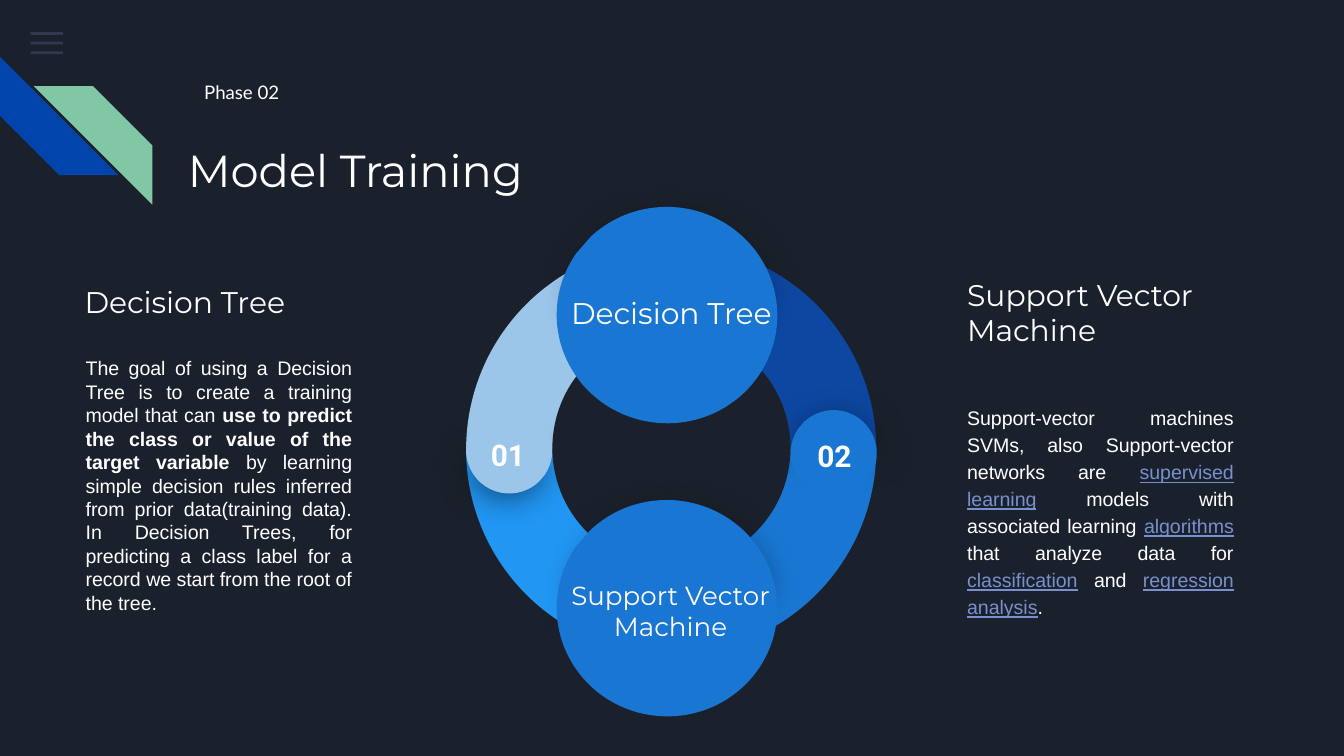
from lxml import etree
from pptx import Presentation
from pptx.dml.color import RGBColor
from pptx.enum.shapes import MSO_SHAPE
from pptx.enum.text import MSO_ANCHOR, PP_ALIGN
from pptx.oxml.ns import qn
from pptx.util import Cm, Pt

RECT, STRIPE, OVAL = MSO_SHAPE.RECTANGLE, MSO_SHAPE.DIAGONAL_STRIPE, MSO_SHAPE.OVAL
PIE, CHORD = MSO_SHAPE.PIE, MSO_SHAPE.CHORD
TOP, MIDDLE = MSO_ANCHOR.TOP, MSO_ANCHOR.MIDDLE
LEFT, CENTER, JUSTIFY = PP_ALIGN.LEFT, PP_ALIGN.CENTER, PP_ALIGN.JUSTIFY

NIGHT = RGBColor(0x1B, 0x21, 0x2C)
WHITE = RGBColor(0xFF, 0xFF, 0xFF)
SLATE = RGBColor(0x55, 0x68, 0x8B)
ROYAL = RGBColor(0x01, 0x45, 0xAC)
GREEN = RGBColor(0x82, 0xC7, 0xA5)
PALE_BLUE = RGBColor(0x9B, 0xC5, 0xE9)
NAVY = RGBColor(0x0D, 0x47, 0xA1)
BLUE = RGBColor(0x19, 0x76, 0xD2)
BRIGHT_BLUE = RGBColor(0x21, 0x96, 0xF3)
LINK = RGBColor(0x78, 0x90, 0xCD)

QUARTER = (107.96, 162.01)
NEAR_FULL = (25.01, 18.12)
LEFT_CAP = (189.54, 83.81)
RIGHT_CAP = (196.87, 77.71)


def add_run(p, text, font="Arial", size=10.5, color=WHITE, bold=False, underline=False):
    r = p.add_run()
    r.text = text
    r.font.name = font
    r.font.size = Pt(size)
    r.font.color.rgb = color
    r.font.bold = bold
    r.font.underline = underline


class Deck:
    """Holds the style and the current slide."""

    heading_font = "Montserrat"

    def __init__(self):
        self.prs = Presentation()
        self.prs.slide_width, self.prs.slide_height = Cm(25.4), Cm(14.29)
        self.s = self.prs.slides.add_slide(self.prs.slide_layouts[6])
        fill = self.s.background.fill
        fill.solid()
        fill.fore_color.rgb = NIGHT

    def shape(self, kind, box, color, rotation=0, adj=(), flip=False, alpha=None):
        sp = self.s.shapes.add_shape(kind, *[Cm(v) for v in box])
        sp.shadow.inherit = False
        sp.fill.solid()
        sp.fill.fore_color.rgb = color
        sp.line.fill.background()
        sp.rotation = rotation
        for i, value in enumerate(adj):
            sp.adjustments[i] = value
        if flip:
            sp.element.spPr.find(qn("a:xfrm")).set("flipH", "1")
        if alpha is not None:
            clr = sp.element.spPr.find(qn("a:solidFill"))[0]
            etree.SubElement(clr, qn("a:alpha")).set("val", str(alpha * 1000))
        return sp

    def cast_shadow(self, sp):
        effects = sp.element.spPr.find(qn("a:effectLst"))
        shadow = etree.SubElement(effects, qn("a:outerShdw"), blurRad=str(Pt(18)),
                                  dist=str(Pt(4)), dir="5400000", rotWithShape="0")
        clr = etree.SubElement(shadow, qn("a:srgbClr"), val="000000")
        etree.SubElement(clr, qn("a:alpha"), val="55000")

    def disc(self, cap_box, disc_box, color, cap=RIGHT_CAP, turn=180):
        """A round plate over a pie that casts its shadow."""
        self.cast_shadow(self.shape(PIE, cap_box, color, turn + 39.5, cap))
        self.shape(CHORD, disc_box, color, turn + 4.1, NEAR_FULL)

    def text(self, box, runs, align=LEFT, anchor=TOP, spacing=None, after=None, **fmt):
        """runs is a list of (text, extra format) pairs."""
        tf = self.s.shapes.add_textbox(*[Cm(v) for v in box]).text_frame
        tf.word_wrap = True
        tf.vertical_anchor = anchor
        tf.margin_left = tf.margin_right = tf.margin_top = tf.margin_bottom = Cm(0.25)
        p = tf.paragraphs[0]
        p.alignment = align
        if spacing:
            p.line_spacing = spacing
        if after:
            p.space_after = Pt(after)
        for text, extra in runs:
            add_run(p, text, **{**fmt, **extra})

    def heading(self, box, text, size=16, align=LEFT, anchor=MIDDLE):
        self.text(box, [(text, {})], align, anchor, font=self.heading_font, size=size)

    def number(self, box, text):
        self.text(box, [(text, {})], CENTER, font="Roboto", size=16, bold=True)


def main():
    deck = Deck()

    # Menu icon and corner stripes
    for i in range(3):
        deck.shape(RECT, (0.58, 0.61 + 0.18 * i, 0.61, 0.05), SLATE, alpha=36)
    deck.shape(STRIPE, (0, 1.07, 2.24, 2.24), ROYAL, 270, [0.5])
    deck.shape(STRIPE, (0.64, 1.63, 2.24, 2.24), GREEN, adj=[0.5], flip=True)

    # Side headings and the right description
    deck.heading((1.35, 5.08, 5.16, 1.24), "Decision Tree")
    deck.heading((18.03, 5.28, 6.35, 1.24), "Support Vector Machine")
    link = {"color": LINK, "underline": True}
    deck.text((18.03, 8.69, 5.54, 1.93), [
        ("Support-vector machines SVMs, also Support-vector networks are ", {}),
        ("supervised learning", link),
        (" models with associated learning ", {}),
        ("algorithms", link),
        (" that analyze data for ", {}),
        ("classification", link),
        (" and ", {}),
        ("regression analysis", link),
        (".", {}),
    ], JUSTIFY, MIDDLE, spacing=1.15, after=16)

    # Ring of four quarters with numbered ends
    for i, color in enumerate((PALE_BLUE, NAVY, BLUE, BRIGHT_BLUE)):
        deck.shape(PIE, (8.81, 4.62, 7.75, 7.75), color, 90 * i, QUARTER)
    deck.disc((8.84, 7.8, 1.45, 1.45), (8.81, 7.7, 1.63, 1.63), PALE_BLUE, LEFT_CAP, 0)
    deck.number((8.89, 8, 1.42, 0.74), "01")
    deck.disc((15.06, 7.8, 1.45, 1.45), (14.94, 7.75, 1.63, 1.63), BLUE)
    deck.number((15.06, 8.03, 1.42, 0.74), "02")
    deck.shape(OVAL, (10.44, 6.22, 4.5, 4.5), NIGHT)

    # Slide title
    deck.text((3.61, 1.32, 9.75, 0.89), [("Phase 02", {})], font="Lato", size=10)
    deck.heading((3.3, 2.44, 17.27, 1.93), "Model Training", 24, anchor=TOP)

    # Large discs
    for top, label, size, label_box in (
        (3.91, "Decision Tree", 16, (10.11, 5.28, 5.16, 1.24)),
        (9.45, "Support Vector Machine", 14, (9.5, 10.92, 6.35, 1.24)),
    ):
        deck.disc((10.82, top + 0.15, 3.73, 3.66), (10.52, top, 4.17, 4.09), BLUE)
        deck.heading(label_box, label, size, CENTER)

    # Left description
    deck.text((1.37, 6.48, 5.54, 5.46), [
        ("The goal of using a Decision Tree is to create a training model that can ", {}),
        ("use to predict the class or value of the target variable", {"bold": True}),
        (" by learning simple decision rules inferred from prior data(training data). "
         "In Decision Trees, for predicting a class label for a record we start from "
         "the root of the tree.", {}),
    ], JUSTIFY)

    deck.prs.save("out.pptx")


if __name__ == "__main__":
    main()
